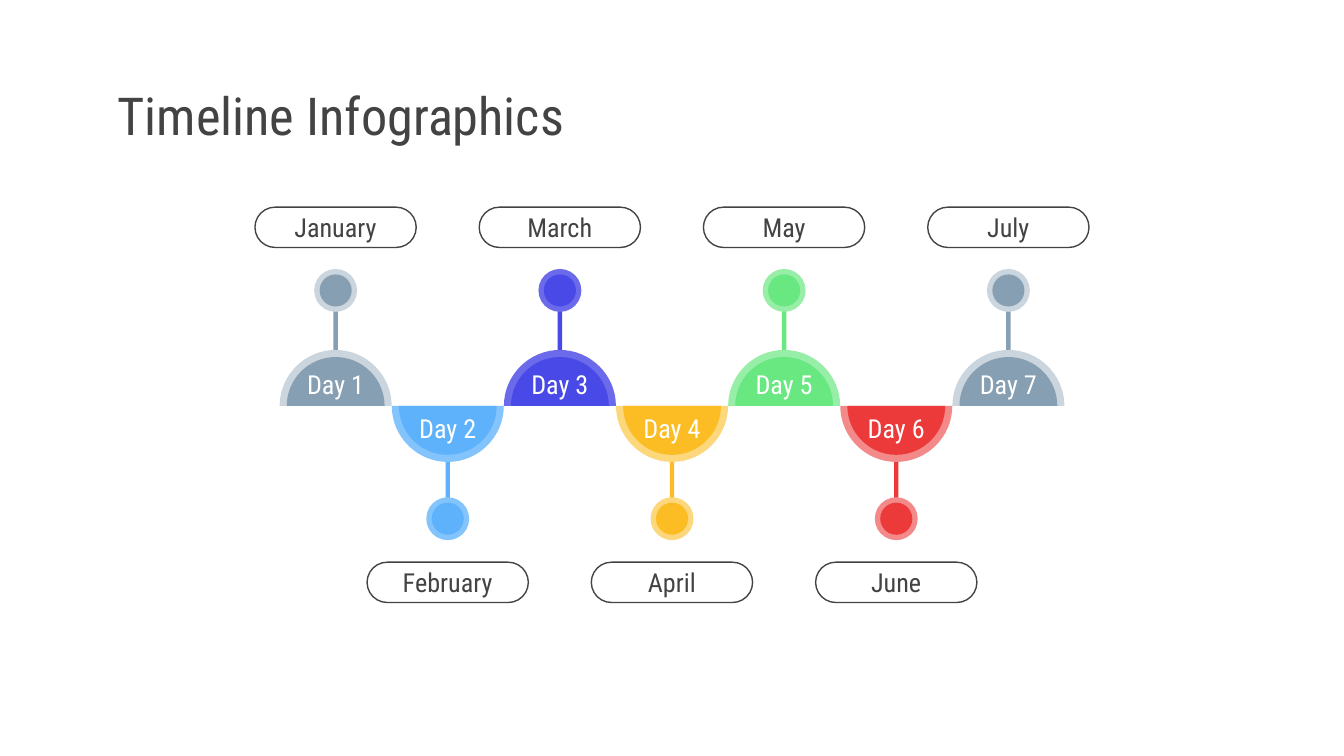
from dataclasses import dataclass

from lxml.etree import SubElement
from pptx import Presentation
from pptx.dml.color import RGBColor as Rgb
from pptx.enum.shapes import MSO_SHAPE as Kind
from pptx.enum.text import MSO_ANCHOR as Anchor, PP_ALIGN as Align
from pptx.oxml.ns import qn
from pptx.util import Pt


@dataclass(frozen=True)
class Theme:
    font: str = "Roboto Condensed"
    ink: str = "434343"
    white: str = "FFFFFF"
    title: float = 28
    label: float = 14
    # Main colour and lighter rim
    gray: tuple = ("869FB2", "CAD5DD")
    sky: tuple = ("5EB2FC", "83C4FD")
    blue: tuple = ("4949E7", "6A6AEB")
    gold: tuple = ("FCBD24", "FDD77C")
    green: tuple = ("69E781", "96EEA7")
    red: tuple = ("EC3A3B", "F48989")


theme = Theme()


def write(shape, text, size=theme.label, color=theme.ink, align=Align.CENTER,
          top=7.2, bottom=7.2):
    frame = shape.text_frame
    frame.word_wrap = True
    frame.vertical_anchor = Anchor.MIDDLE
    frame.margin_left = frame.margin_right = Pt(7.2)
    frame.margin_top, frame.margin_bottom = Pt(top), Pt(bottom)
    par = frame.paragraphs[0]
    par.alignment = align
    run = par.add_run()
    run.text = text
    run.font.name = theme.font
    run.font.size = Pt(size)
    run.font.color.rgb = Rgb.from_string(color)


def paint(shape, color):
    shape.shadow.inherit = False
    shape.fill.solid()
    shape.fill.fore_color.rgb = Rgb.from_string(color)
    shape.line.fill.background()


deck = Presentation()
deck.slide_width, deck.slide_height = Pt(720), Pt(405)
shapes = deck.slides.add_slide(deck.slide_layouts[6]).shapes

# Title
title = shapes.add_textbox(Pt(56), Pt(42.5), Pt(608.4), Pt(38.2))
write(title, "Timeline Infographics", size=theme.title, align=Align.LEFT)

# Timeline: even days hang below the axis, odd days rise above it
axis, start, step = 217.5, 179.8, 60.07
bend = 0.55  # handle length of a quarter circle, as a share of its radius
days = [
    ("January", theme.gray), ("February", theme.sky), ("March", theme.blue),
    ("April", theme.gold), ("May", theme.green), ("June", theme.red),
    ("July", theme.gray),
]
for i in (1, 3, 5, 0, 2, 4, 6):
    month, (main, rim) = days[i]
    x = start + i * step
    up = i % 2 == 0
    side = -1 if up else 1
    knob, mid = (155.6, 121.8) if up else (277.9, 312)
    part = shapes.add_group_shape().shapes

    # Stem
    stem = part.add_shape(Kind.RECTANGLE, Pt(x - 1.2),
                          Pt(knob if up else knob - 59), Pt(2.4), Pt(59))
    paint(stem, main)

    # Knob
    for r, color in ((11.5, rim), (8.6, main)):
        dot = part.add_shape(Kind.OVAL, Pt(x - r), Pt(knob - r),
                             Pt(2 * r), Pt(2 * r))
        paint(dot, color)

    # Half disc: a triangle whose two slopes become quarter circles
    for r, color in ((30, rim), (26.2, main)):
        pen = part.build_freeform(Pt(x), Pt(axis + side * r))
        pen.add_line_segments([(Pt(x + r), Pt(axis)), (Pt(x - r), Pt(axis))])
        half = pen.convert_to_shape()
        paint(half, color)
        tip, base = (0, r) if up else (r, 0)
        knee = base + bend * (tip - base)
        right = [(r + bend * r, tip), (2 * r, knee), (2 * r, base)]
        left = [(0, knee), (r - bend * r, tip), (r, tip)]
        trace = next(half.element.iter(qn("a:path")))
        move, slope, flat, close = trace
        trace.remove(slope)
        for spot, curve in ((move, right), (flat, left)):
            arc = SubElement(trace, qn("a:cubicBezTo"))
            for px, py in curve:
                SubElement(arc, qn("a:pt"), x=str(Pt(px)), y=str(Pt(py)))
            spot.addnext(arc)
    write(half, f"Day {i + 1}", color=theme.white,
          top=2.9 if up else 0, bottom=0 if up else 2.9)

    # Month pill
    pill = part.add_shape(Kind.ROUNDED_RECTANGLE, Pt(x - 43.2),
                          Pt(mid - 10.8), Pt(86.4), Pt(21.6))
    pill.adjustments[0] = 0.5
    pill.shadow.inherit = False
    pill.fill.background()
    pill.line.width = Pt(0.75)
    pill.line.color.rgb = Rgb.from_string(theme.ink)
    write(pill, month)

deck.save("out.pptx")
